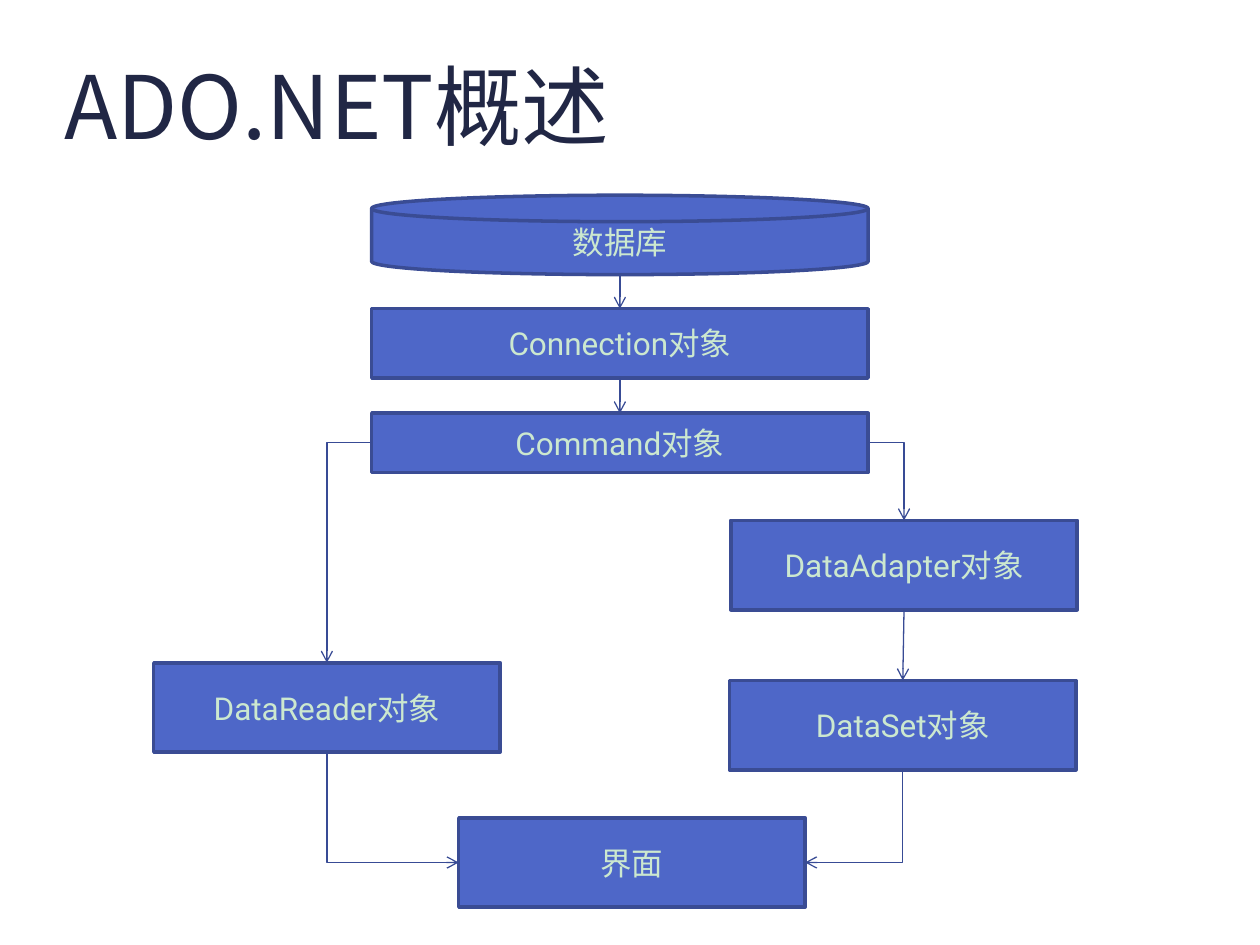
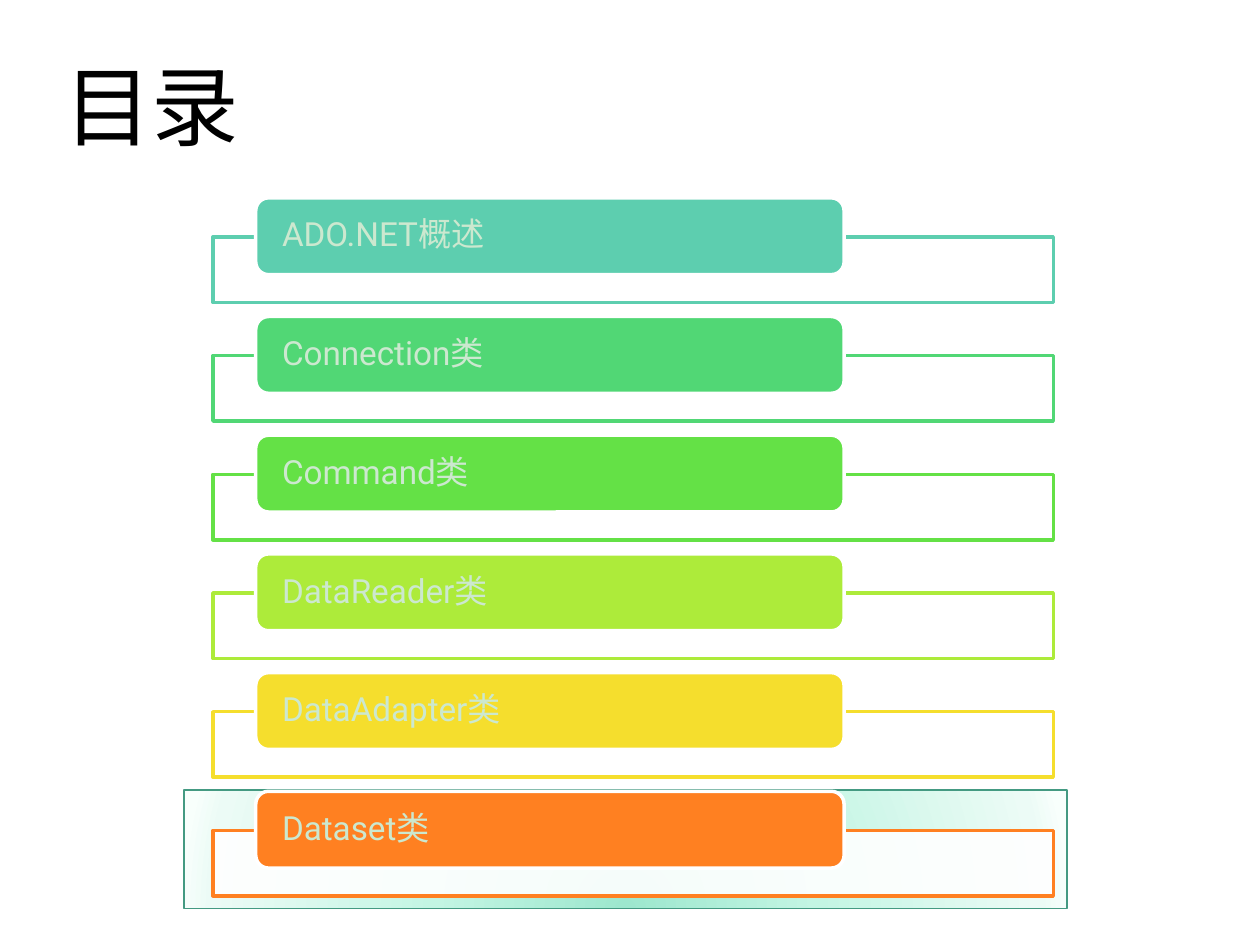
"""Builds two slides: the ADO.NET object flow and the table of contents."""
from lxml import etree
from pptx import Presentation
from pptx.dml.color import RGBColor
from pptx.enum.shapes import MSO_CONNECTOR, MSO_SHAPE
from pptx.enum.text import MSO_ANCHOR, MSO_AUTO_SIZE, PP_ALIGN
from pptx.oxml import parse_xml
from pptx.oxml.ns import nsdecls, qn
from pptx.util import Inches, Pt

RECT = MSO_SHAPE.RECTANGLE
ROUND = MSO_SHAPE.ROUNDED_RECTANGLE
DISK = MSO_SHAPE.FLOWCHART_MAGNETIC_DISK
STRAIGHT, ELBOW = MSO_CONNECTOR.STRAIGHT, MSO_CONNECTOR.ELBOW
LEFT, CENTER = PP_ALIGN.LEFT, PP_ALIGN.CENTER
MIDDLE, BOTTOM = MSO_ANCHOR.MIDDLE, MSO_ANCHOR.BOTTOM
NO_FIT = MSO_AUTO_SIZE.NONE
TOP_SIDE, LEFT_SIDE, BOTTOM_SIDE, RIGHT_SIDE = range(4)

LATIN_FONT, CJK_FONT = "Roboto", "Noto Sans CJK SC"
WHITE = RGBColor(0xFF, 0xFF, 0xFF)
BLACK = RGBColor(0x00, 0x00, 0x00)
NAVY = RGBColor(0x21, 0x27, 0x45)
PALE_GREEN = RGBColor(0xCC, 0xE8, 0xCF)
BLUE = RGBColor(0x4E, 0x67, 0xC8)
BLUE_EDGE = RGBColor(0x3A, 0x4C, 0x94)
ARROW = RGBColor(0x38, 0x4B, 0x95)
TEAL_EDGE = RGBColor(0x44, 0x9A, 0x82)
GLOW = [(0, RGBColor(0x9D, 0xE7, 0xCE)), (43, RGBColor(0xC3, 0xF5, 0xE3)),
        (93, RGBColor(0xEC, 0xFB, 0xF6)), (100, RGBColor(0xF8, 0xFF, 0xFC))]

WIDE, NARROW, NARROW_H = 3.94, 2.75, 0.71
NODES = {
    "数据库": (DISK, 2.95, 1.55, WIDE, 0.63),
    "Connection对象": (RECT, 2.95, 2.45, WIDE, 0.55),
    "Command对象": (RECT, 2.95, 3.28, WIDE, 0.47),
    "DataReader对象": (RECT, 1.22, 5.26, NARROW, NARROW_H),
    "DataAdapter对象": (RECT, 5.8, 4.13, NARROW, NARROW_H),
    "DataSet对象": (RECT, 5.79, 5.4, NARROW, NARROW_H),
    "界面": (RECT, 3.64, 6.49, NARROW, NARROW_H),
}
LINKS = [
    ("数据库", BOTTOM_SIDE, "Connection对象", TOP_SIDE),
    ("Connection对象", BOTTOM_SIDE, "Command对象", TOP_SIDE),
    ("Command对象", RIGHT_SIDE, "DataAdapter对象", TOP_SIDE),
    ("Command对象", LEFT_SIDE, "DataReader对象", TOP_SIDE),
    ("DataAdapter对象", BOTTOM_SIDE, "DataSet对象", TOP_SIDE),
    ("DataReader对象", BOTTOM_SIDE, "界面", LEFT_SIDE),
    ("DataSet对象", BOTTOM_SIDE, "界面", RIGHT_SIDE),
]

TOPICS = [
    ("ADO.NET概述", RGBColor(0x5D, 0xCE, 0xAF)),
    ("Connection类", RGBColor(0x51, 0xD7, 0x75)),
    ("Command类", RGBColor(0x64, 0xE1, 0x46)),
    ("DataReader类", RGBColor(0xAD, 0xEB, 0x3A)),
    ("DataAdapter类", RGBColor(0xF5, 0xDE, 0x2D)),
    ("Dataset类", RGBColor(0xFF, 0x80, 0x21)),
]
FIRST_TOP, LAST_TOP, FRAME_DROP = 1.57, 6.28, 0.31


def add_text(tf, text, size, color, font=LATIN_FONT, align=LEFT):
    p = tf.paragraphs[0]
    p.alignment = align
    r = p.add_run()
    r.text = text
    r.font.size, r.font.name = Pt(size), font
    r.font.color.rgb = color
    etree.SubElement(r.font._element, qn("a:ea"), typeface=CJK_FONT)
    return p


def set_margins(tf, left, top, right, bottom):
    tf.margin_left, tf.margin_top = Inches(left), Inches(top)
    tf.margin_right, tf.margin_bottom = Inches(right), Inches(bottom)


def add_slide(prs, title, color):
    s = prs.slides.add_slide(prs.slide_layouts[5])
    sp = s.shapes.title
    sp.left, sp.top, sp.width, sp.height = map(Inches, (0.51, 0, 9.37, 1.25))
    tf = sp.text_frame
    tf.auto_size, tf.vertical_anchor = NO_FIT, BOTTOM
    set_margins(tf, 0, 0.05, 0, 0)
    add_text(tf, title, 50, color, CJK_FONT)
    return s


def add_box(s, kind, box, fill, line, width=2):
    sp = s.shapes.add_shape(kind, *map(Inches, box))
    sp.shadow.inherit = False
    sp.fill.solid()
    sp.fill.fore_color.rgb = fill
    sp.line.color.rgb, sp.line.width = line, Pt(width)
    sp.text_frame.word_wrap = True
    sp.text_frame.vertical_anchor = MIDDLE
    return sp


def side_point(sp, side):
    fx, fy = [(0.5, 0), (0, 0.5), (0.5, 1), (1, 0.5)][side]
    return int(sp.left + fx * sp.width), int(sp.top + fy * sp.height)


def bend(c, start, end, down_first):
    """Give an elbow connector one corner."""
    c._element.spPr.find(qn("a:prstGeom")).set("prst", "bentConnector2")
    if not down_first:
        return
    (x1, y1), (x2, y2) = start, end
    w, h = abs(y2 - y1), abs(x2 - x1)
    c.left, c.top = (x1 + x2 - w) // 2, (y1 + y2 - h) // 2
    c.width, c.height = w, h
    xfrm = c._element.spPr.find(qn("a:xfrm"))
    xfrm.set("rot", str((270 if x2 > x1 else 90) * 60000))
    xfrm.set("flipH", "1" if x2 > x1 else "0")


def link(s, source, out_side, target, in_side):
    start, end = side_point(source, out_side), side_point(target, in_side)
    straight = out_side % 2 == in_side % 2
    c = s.shapes.add_connector(STRAIGHT if straight else ELBOW, *start, *end)
    if source.auto_shape_type == RECT:
        c.begin_connect(source, out_side)
    c.end_connect(target, in_side)
    if not straight:
        bend(c, start, end, out_side == BOTTOM_SIDE)
    c.line.color.rgb, c.line.width = ARROW, Pt(0.75)
    etree.SubElement(c.line._get_or_add_ln(), qn("a:tailEnd"), type="arrow")
    etree.SubElement(c._element.spPr, qn("a:effectLst"))


def set_glow(sp):
    stops = "".join(f'<a:gs pos="{pos * 1000}"><a:srgbClr val="{color}"/></a:gs>'
                    for pos, color in GLOW)
    grad = parse_xml(
        f'<a:gradFill {nsdecls("a")} rotWithShape="1"><a:gsLst>{stops}</a:gsLst>'
        '<a:path path="circle"><a:fillToRect l="50000" t="130000" r="50000" '
        'b="-30000"/></a:path></a:gradFill>')
    spPr = sp._element.spPr
    spPr.replace(spPr.find(qn("a:solidFill")), grad)


def build_flow(prs):
    s = add_slide(prs, "ADO.NET概述", NAVY)
    nodes = {}
    for name, (kind, *box) in NODES.items():
        nodes[name] = sp = add_box(s, kind, box, BLUE, BLUE_EDGE)
        add_text(sp.text_frame, name, 18, PALE_GREEN, align=CENTER)
    for source, out_side, target, in_side in LINKS:
        link(s, nodes[source], out_side, nodes[target], in_side)


def build_contents(prs):
    s = add_slide(prs, "目录", BLACK)
    set_glow(add_box(s, RECT, (1.46, 6.27, 7.01, 0.94), WHITE, TEAL_EDGE, 0.75))
    pitch = (LAST_TOP - FIRST_TOP) / (len(TOPICS) - 1)
    for i, (topic, color) in enumerate(TOPICS):
        top = FIRST_TOP + i * pitch
        frame = add_box(s, RECT, (1.69, top + FRAME_DROP, 6.67, 0.52), WHITE, color)
        clr = frame._element.spPr.find(qn("a:solidFill"))[0]
        etree.SubElement(clr, qn("a:alpha"), val="90000")
        tab = add_box(s, ROUND, (2.03, top, 4.67, 0.61), color, WHITE)
        set_margins(tab.text_frame, 0.18, 0, 0.18, 0)
        add_text(tab.text_frame, topic, 19, PALE_GREEN).line_spacing = 0.9


def main():
    prs = Presentation()
    prs.slide_width, prs.slide_height = Inches(10), Inches(7.5)
    build_flow(prs)
    build_contents(prs)
    prs.save("out.pptx")


if __name__ == "__main__":
    main()
